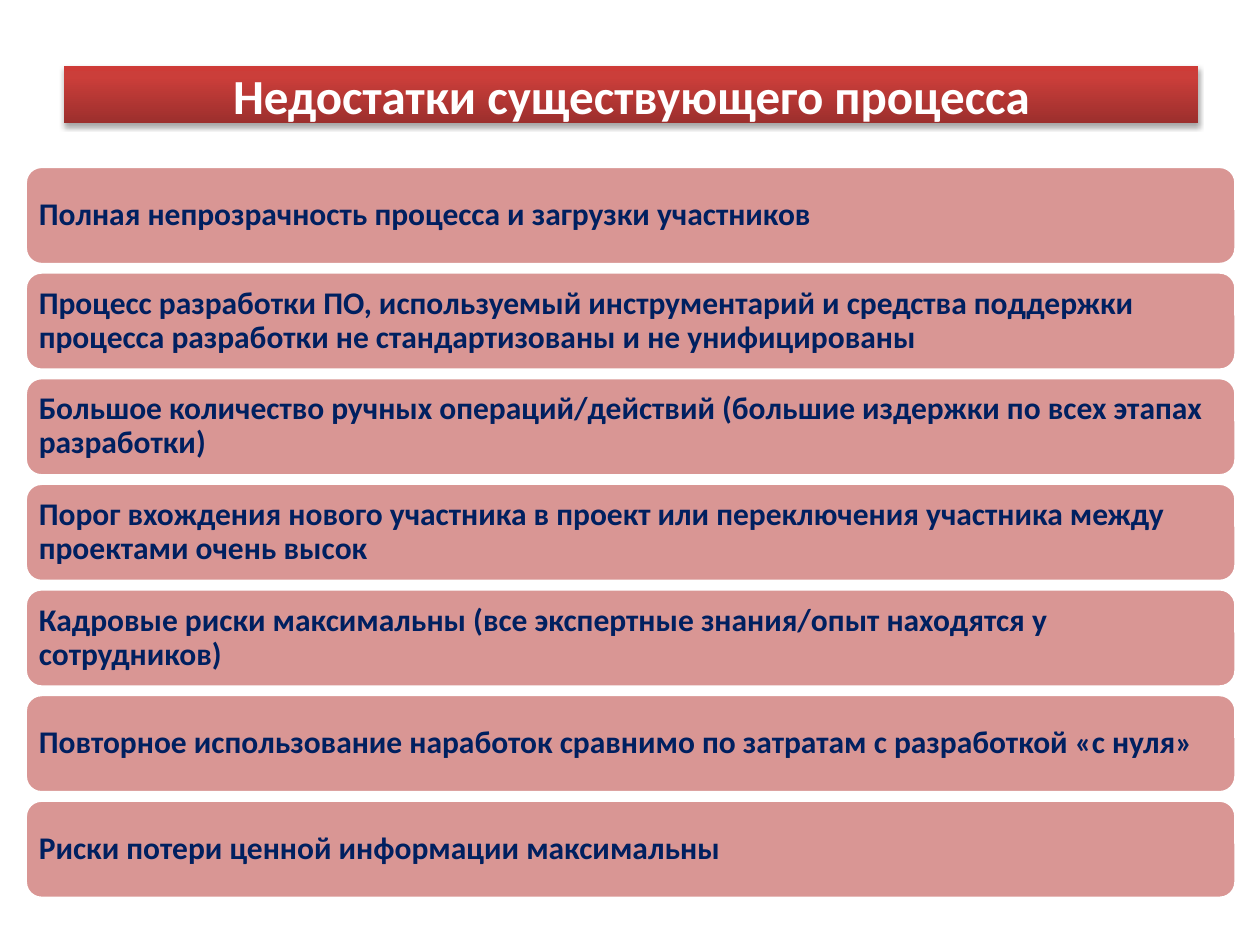
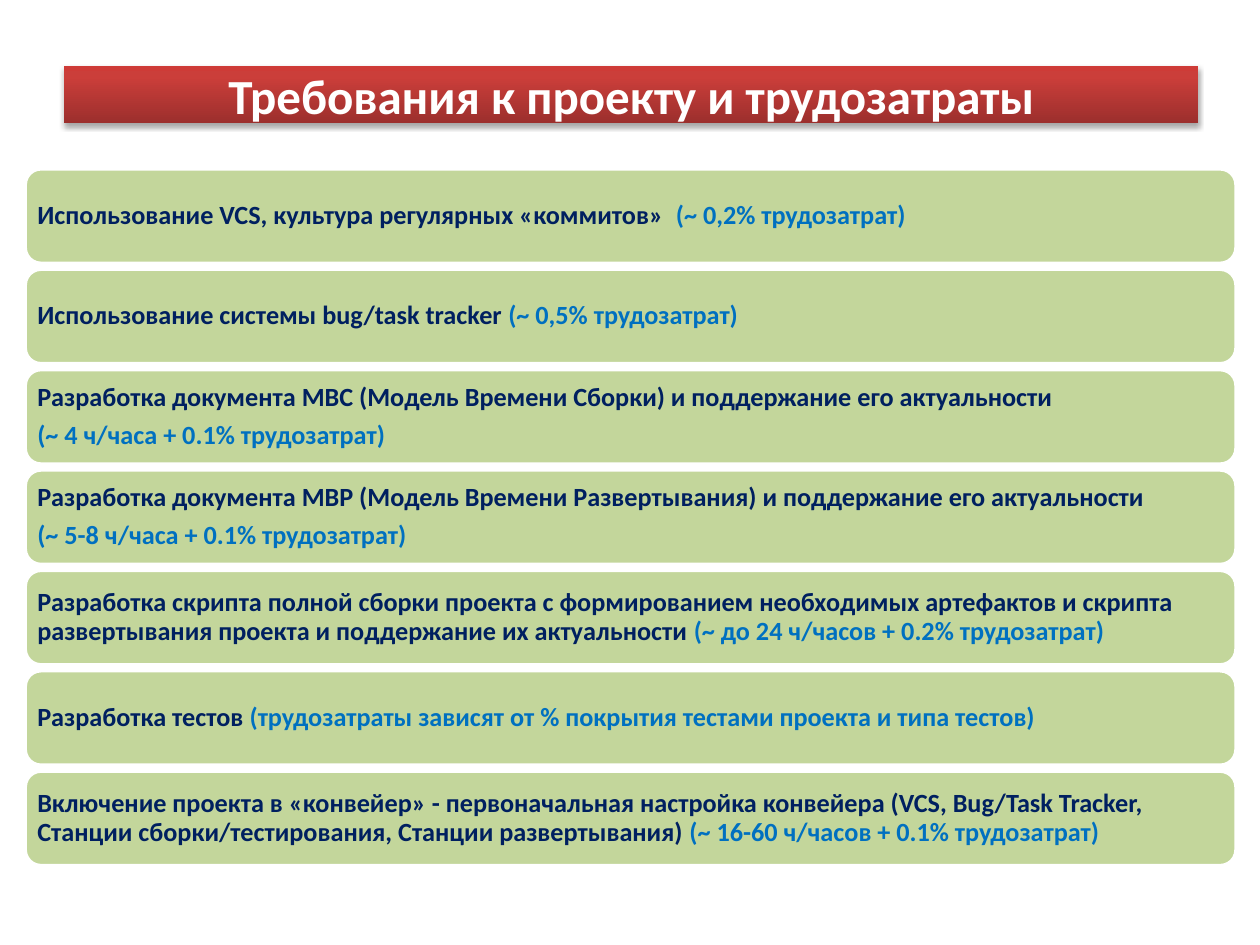
import pptx
import pptx.dml.color
import pptx.enum.shapes
import pptx.enum.text
import pptx.oxml
import pptx.util
from pptx.oxml.ns import nsdecls

Inches = pptx.util.Inches
Pt = pptx.util.Pt
ANCHOR = pptx.enum.text.MSO_ANCHOR
ALIGN = pptx.enum.text.PP_ALIGN

WHITE = "FFFFFF"
NAVY = "002060"
BLUE = "0070C0"
BAND_STOPS = [(0, "9C2F2D"), (80, "CB3E3A"), (100, "CE3B37")]


def rgb(value):
    return pptx.dml.color.RGBColor.from_string(value)


def add_text(p, text, size, color, bold=True, font="Calibri"):
    r = p.add_run()
    r.text = text
    r.font.size = Pt(size)
    r.font.name = font
    r.font.bold = bold
    r.font.color.rgb = rgb(color)


stops = "".join(
    f'<a:gs pos="{pos * 1000}"><a:srgbClr val="{color}"/></a:gs>' for pos, color in BAND_STOPS
)
BAND_XML = [
    f'<a:prstGeom {nsdecls("a")} prst="rect"><a:avLst/></a:prstGeom>',
    f'<a:gradFill {nsdecls("a")} rotWithShape="1"><a:gsLst>{stops}</a:gsLst>'
    '<a:lin ang="16200000" scaled="0"/></a:gradFill>',
    f'<a:effectLst {nsdecls("a")}><a:outerShdw blurRad="{Pt(3.1)}" dist="{Pt(1.8)}" '
    'dir="5400000" rotWithShape="0"><a:srgbClr val="000000"><a:alpha val="35000"/>'
    "</a:srgbClr></a:outerShdw></a:effectLst>",
]

slides = [
    {
        "title": "Недостатки существующего процесса",
        "fill": "D99694", "size": 18, "inset": 0.07,
        "first": 1.32, "last": 6.35, "height": 0.78,
        "items": [
            [[("Полная непрозрачность процесса и загрузки участников", NAVY)]],
            [[("Процесс разработки ПО, используемый инструментарий и средства поддержки "
               "процесса разработки не стандартизованы и не унифицированы", NAVY)]],
            [[("Большое количество ручных операций/действий (большие издержки по всех "
               "этапах разработки)", NAVY)]],
            [[("Порог вхождения нового участника в проект или переключения участника "
               "между проектами очень высок", NAVY)]],
            [[("Кадровые риски максимальны (все экспертные знания/опыт находятся у "
               "сотрудников)", NAVY)]],
            [[("Повторное использование наработок сравнимо по затратам с разработкой "
               "«с нуля»", NAVY)]],
            [[("Риски потери ценной информации максимальны", NAVY)]],
        ],
    },
    {
        "title": "Требования к проекту и трудозатраты",
        "fill": "C3D69B", "size": 15, "inset": 0.06,
        "first": 1.34, "last": 6.12, "height": 0.75,
        "items": [
            [[("Использование VCS, культура регулярных «коммитов»  ", NAVY),
              ("(~ 0,2% трудозатрат)", BLUE)]],
            [[("Использование системы bug/task tracker ", NAVY),
              ("(~ 0,5% трудозатрат)", BLUE)]],
            [[("Разработка документа МВС (Модель Времени Сборки) и поддержание его "
               "актуальности", NAVY)],
             [("(~ 4 ч/часа + 0.1% трудозатрат)", BLUE)]],
            [[("Разработка документа МВР (Модель Времени Развертывания) и поддержание "
               "его актуальности", NAVY)],
             [("(~ 5-8 ч/часа + 0.1% трудозатрат)", BLUE)]],
            [[("Разработка скрипта полной сборки проекта с формированием необходимых "
               "артефактов и скрипта развертывания проекта и поддержание их "
               "актуальности ", NAVY),
              ("(~ до 24 ч/часов + 0.2% трудозатрат)", BLUE)]],
            [[("Разработка тестов ", NAVY),
              ("(трудозатраты зависят от % покрытия тестами проекта и типа тестов)", BLUE)]],
            [[("Включение проекта в «конвейер» - первоначальная настройка конвейера "
               "(VCS, Bug/Task Tracker, Станции сборки/тестирования, Станции "
               "развертывания) ", NAVY),
              ("(~ 16-60 ч/часов + 0.1% трудозатрат)", BLUE)]],
        ],
    },
]

prs = pptx.Presentation()
prs.slide_width = Inches(10)
prs.slide_height = Inches(7.5)

for data in slides:
    s = prs.slides.add_slide(prs.slide_layouts[5])

    title = s.shapes.title
    title.left, title.top = Inches(0.51), Inches(0.52)
    title.width, title.height = Inches(9), Inches(0.46)
    for xml in BAND_XML:
        title._element.spPr.append(pptx.oxml.parse_xml(xml))
    tf = title.text_frame
    tf.auto_size = pptx.enum.text.MSO_AUTO_SIZE.NONE
    tf.vertical_anchor = ANCHOR.MIDDLE
    tf.paragraphs[0].alignment = ALIGN.CENTER
    add_text(tf.paragraphs[0], data["title"], size=28, color=WHITE)

    pitch = (data["last"] - data["first"]) / (len(data["items"]) - 1)
    for row, paragraphs in enumerate(data["items"]):
        sp = s.shapes.add_shape(
            pptx.enum.shapes.MSO_SHAPE.ROUNDED_RECTANGLE,
            Inches(0.2), Inches(data["first"] + row * pitch),
            Inches(9.61), Inches(data["height"]),
        )
        sp.shadow.inherit = False
        sp.fill.solid()
        sp.fill.fore_color.rgb = rgb(data["fill"])
        sp.line.color.rgb = rgb(WHITE)
        sp.line.width = Pt(2)

        tf = sp.text_frame
        tf.word_wrap = True
        tf.vertical_anchor = ANCHOR.MIDDLE
        tf.margin_left = tf.margin_right = Inches(data["inset"])
        tf.margin_top = tf.margin_bottom = Inches(data["inset"])
        for i, runs in enumerate(paragraphs):
            p = tf.add_paragraph() if i else tf.paragraphs[0]
            p.alignment = ALIGN.LEFT
            p.line_spacing = 0.9
            if i < len(paragraphs) - 1:
                p.space_after = Pt(0.35 * data["size"])
            for text, color in runs:
                add_text(p, text, size=data["size"], color=color)

prs.save("out.pptx")
